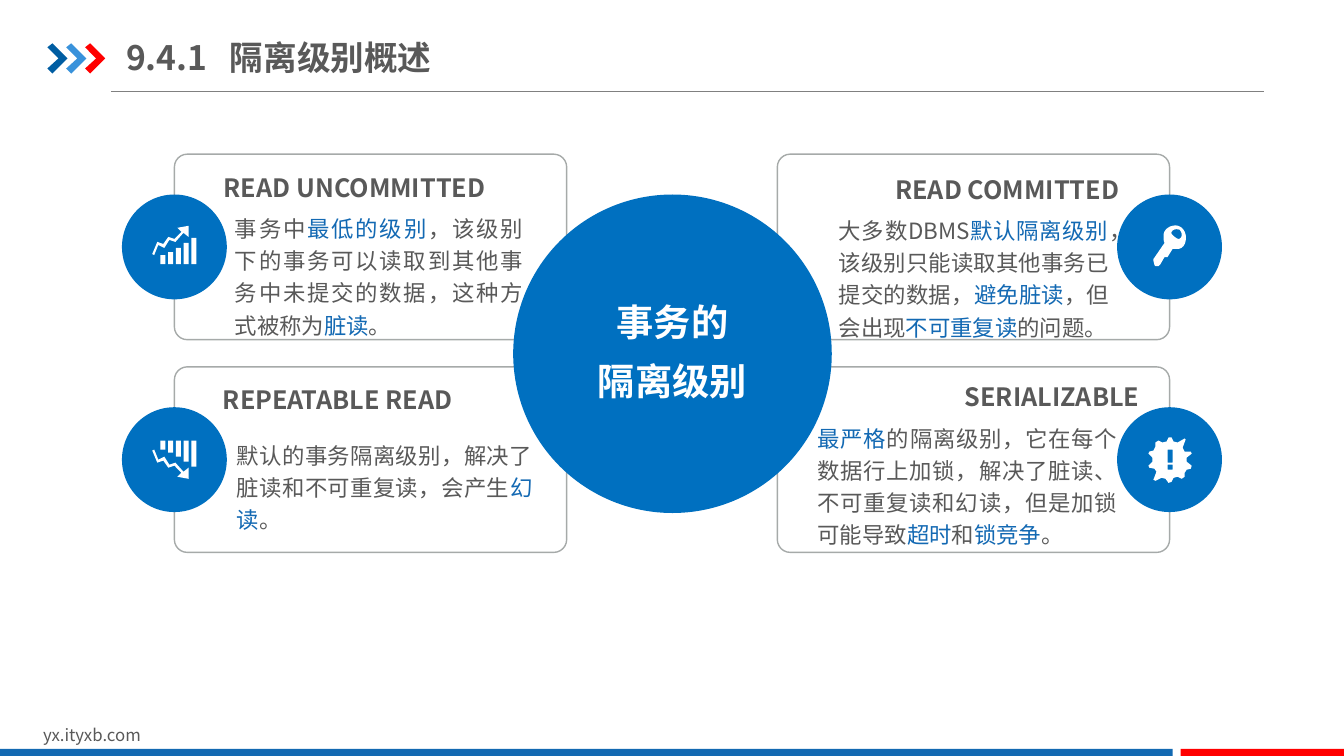
from lxml import etree
from pptx import Presentation
from pptx.dml.color import RGBColor
from pptx.enum.shapes import MSO_CONNECTOR, MSO_SHAPE
from pptx.enum.text import MSO_ANCHOR, PP_ALIGN
from pptx.oxml.ns import qn
from pptx.util import Inches, Pt

FONT = "Noto Sans CJK SC"
COLORS = {
    "text": "595959", "highlight": "1369B3", "circle": "0070C0", "card": "A6AAA9",
    "rule": "808080", "bar": "1369B2", "red": "FF0000", "navy": "005DA2",
    "sky": "3992DB", "white": "FFFFFF",
}
CARD_W, CARD_H, BADGE = 3.89, 1.84, 1.04
LEFT, RIGHT, TOP, BOTTOM = 1.73, 7.71, 1.53, 3.64

# Outlines are lists of contours; a six-number item is a cubic curve.
TREND = [(1.68, 2.38), (1.74, 2.4), (1.82, 2.31), (1.87, 2.35), (1.87, 2.24),
         (1.76, 2.26), (1.8, 2.3), (1.73, 2.37), (1.67, 2.35), (1.62, 2.42),
         (1.56, 2.4), (1.51, 2.52), (1.53, 2.53), (1.57, 2.43), (1.63, 2.46)]
BAR_TOPS = [2.53, 2.5, 2.46, 2.41, 2.36]
KEY = [
    [(11.71, 2.36), (11.69, 2.38, 11.68, 2.37, 11.65, 2.35),
     (11.63, 2.33, 11.61, 2.32, 11.62, 2.3), (11.64, 2.27, 11.67, 2.27, 11.7, 2.28),
     (11.72, 2.3, 11.73, 2.34, 11.71, 2.36)],
    [(11.76, 2.33), (11.75, 2.27, 11.69, 2.22, 11.63, 2.24),
     (11.58, 2.25, 11.53, 2.29, 11.54, 2.36), (11.54, 2.37, 11.54, 2.39, 11.55, 2.41),
     (11.44, 2.57), (11.44, 2.59), (11.45, 2.63), (11.46, 2.64), (11.49, 2.64),
     (11.51, 2.62), (11.55, 2.55), (11.58, 2.55), (11.63, 2.47),
     (11.65, 2.47, 11.67, 2.47, 11.69, 2.47), (11.75, 2.46, 11.77, 2.39, 11.76, 2.33)],
]
BURST = [
    (11.82, 4.62), (11.77, 4.58), (11.77, 4.54), (11.82, 4.5), (11.81, 4.48),
    (11.75, 4.48), (11.73, 4.44), (11.76, 4.36), (11.75, 4.35), (11.68, 4.39),
    (11.64, 4.38), (11.62, 4.34), (11.59, 4.34), (11.57, 4.38), (11.53, 4.39),
    (11.49, 4.37), (11.46, 4.39), (11.46, 4.43), (11.44, 4.47), (11.4, 4.48),
    (11.39, 4.5), (11.43, 4.54), (11.43, 4.58), (11.39, 4.62), (11.4, 4.64),
    (11.45, 4.65), (11.47, 4.68), (11.44, 4.76), (11.46, 4.77), (11.52, 4.74),
    (11.56, 4.75), (11.59, 4.79), (11.62, 4.78), (11.64, 4.74), (11.68, 4.73),
    (11.72, 4.75), (11.75, 4.73), (11.75, 4.69), (11.77, 4.66), (11.81, 4.65),
]

CARDS = [
    dict(heading="READ UNCOMMITTED", heading_box=(2.22, 1.61, 2.86, 0.44),
         heading_format=dict(spacing=1.2), body_box=(2.33, 2.08, 2.86, 0.98),
         body="事务中*最低的级别*，该级别下的事务可以读取到其他事务中未提交的数据，这种方式被称为*脏读*。"),
    dict(heading="REPEATABLE READ", heading_box=(2.21, 3.71, 2.71, 0.44),
         heading_format=dict(spacing=1.2), body_box=(2.35, 4.33, 2.93, 0.92),
         body="默认的事务隔离级别，解决了脏读和不可重复读，会产生*幻读*。"),
    dict(heading="READ COMMITTED", heading_box=(8.63, 1.66, 2.47, 0.44),
         heading_format=dict(align=PP_ALIGN.RIGHT), body_box=(8.32, 2.1, 2.68, 0.98),
         body="大多数DBMS*默认隔离级别*，该级别只能读取其他事务已提交的数据，*避免脏读*，但会出现*不可重复读*的问题。"),
    dict(heading="SERIALIZABLE", heading_box=(9.26, 3.71, 2.04, 0.44),
         heading_format=dict(align=PP_ALIGN.RIGHT), body_box=(8.11, 4.16, 2.97, 0.83),
         body="*最严格*的隔离级别，它在每个数据行上加锁，解决了脏读、不可重复读和幻读，但是加锁可能导致*超时*和*锁竞争*。"),
]


def rgb(name):
    return RGBColor.from_string(COLORS[name])


def write_text(tf, text, size=16, color="text", bold=False, align=PP_ALIGN.LEFT,
               anchor=MSO_ANCHOR.TOP, spacing=1.0, before=0, insets=(0, 0), tab=None):
    """Fill a text frame; text between asterisks is highlighted."""
    tf.word_wrap = True
    tf.vertical_anchor = anchor
    tf.margin_left = tf.margin_right = Inches(insets[0])
    tf.margin_top = tf.margin_bottom = Inches(insets[1])
    for i, line in enumerate(text.split("\n")):
        p = tf.add_paragraph() if i else tf.paragraphs[0]
        p.alignment, p.line_spacing = align, spacing
        p.space_before = Pt(before if i else 0)
        if tab:
            tabs = etree.SubElement(p._p.get_or_add_pPr(), qn("a:tabLst"))
            etree.SubElement(tabs, qn("a:tab"), pos=str(Inches(tab)), algn="l")
        for j, part in enumerate(line.split("*")):
            if not part:
                continue
            r = p.add_run()
            r.text = part
            r.font.size, r.font.bold, r.font.name = Pt(size), bold, FONT
            r.font.color.rgb = rgb("highlight" if j % 2 else color)
            etree.SubElement(r.font._element, qn("a:ea"), typeface=FONT)


def add_text(s, box, text, **fmt):
    write_text(s.shapes.add_textbox(*map(Inches, box)).text_frame, text, **fmt)


def paint(sp, fill=None, line=None):
    sp.shadow.inherit = False
    if fill:
        sp.fill.solid()
        sp.fill.fore_color.rgb = rgb(fill)
    else:
        sp.fill.background()
    if line:
        sp.line.color.rgb = rgb(line)
        sp.line.width = Pt(1)
    else:
        sp.line.fill.background()


def add_preset(s, kind, box, **colors):
    sp = s.shapes.add_shape(kind, *map(Inches, box))
    paint(sp, **colors)
    return sp


def flatten(contour, steps=6):
    """Turn the cubic curves of a contour into short straight pieces."""
    points = [contour[0]]
    for item in contour[1:]:
        if len(item) == 2:
            points.append(item)
            continue
        a, b, c, d = points[-1], item[:2], item[2:4], item[4:]
        for t in (n / steps for n in range(1, steps + 1)):
            u = 1 - t
            points.append(tuple(
                u**3 * a[k] + 3 * u * u * t * b[k] + 3 * u * t * t * c[k] + t**3 * d[k]
                for k in (0, 1)))
    return points


def add_outline(s, contours, fill):
    fb = None
    for contour in contours:
        start, *rest = [(Inches(x), Inches(y)) for x, y in flatten(contour)]
        if fb is None:
            fb = s.shapes.build_freeform(*start)
        else:
            fb.move_to(*start)
        fb.add_line_segments(rest, close=True)
    paint(fb.convert_to_shape(), fill)


def rect_points(x0, y0, x1, y1):
    return [(x0, y0), (x1, y0), (x1, y1), (x0, y1)]


def add_frame(s):
    """Header rule, chevrons, title and footer."""
    rule = s.shapes.add_connector(
        MSO_CONNECTOR.STRAIGHT, Inches(1.1), Inches(0.91), Inches(12.54), Inches(0.91))
    rule.line.color.rgb = rgb("rule")
    rule.line.width = Pt(0.75)
    etree.SubElement(rule._element.spPr, qn("a:effectLst"))
    chevron = [(0, 0.47), (0.05, 0.43), (0.2, 0.58), (0.05, 0.73), (0, 0.68), (0.11, 0.58)]
    for i, color in enumerate(("navy", "sky", "red")):
        add_outline(s, [[(0.47 + 0.187 * i + x, y) for x, y in chevron]], color)
    add_text(s, (0.33, 7.14, 3.18, 0.3), "yx.ityxb.com", size=12, insets=(0.1, 0.05))
    add_preset(s, MSO_SHAPE.RECTANGLE, (0, 7.43, 11.63, 0.09), fill="bar")
    add_preset(s, MSO_SHAPE.RECTANGLE, (11.71, 7.43, 1.63, 0.09), fill="red")
    title = s.shapes.title
    title.left, title.top, title.width, title.height = map(Inches, (1.25, 0.29, 5.73, 0.55))
    write_text(title.text_frame, "9.4.1\t隔离级别概述", size=24, bold=True,
               anchor=MSO_ANCHOR.MIDDLE, insets=(0, 0.07), tab=1.03)


def add_icons(s):
    bars = [rect_points(1.59 + 0.077 * i, top, 1.64 + 0.077 * i, 2.62)
            for i, top in enumerate(BAR_TOPS)]
    rising = [TREND, *bars]
    falling = [[(x, 6.99 - y) for x, y in contour] for contour in rising]
    mark = [rect_points(11.58, 4.46, 11.63, 4.59), rect_points(11.58, 4.61, 11.63, 4.66)]
    for contours in (rising, falling, KEY, [BURST, *mark]):
        add_outline(s, contours, "white")


def main():
    prs = Presentation()
    prs.slide_width, prs.slide_height = Inches(13.33), Inches(7.5)
    s = prs.slides.add_slide(prs.slide_layouts[5])
    add_frame(s)
    corners = [(x, y) for x in (LEFT, RIGHT) for y in (TOP, BOTTOM)]
    for x, y in corners:
        card = add_preset(s, MSO_SHAPE.ROUNDED_RECTANGLE, (x, y, CARD_W, CARD_H), line="card")
        card.adjustments[0] = 0.069
    add_preset(s, MSO_SHAPE.OVAL, (5.09, 1.93, 3.16, 3.16), fill="circle")
    add_text(s, (5.83, 3.14, 1.68, 0.69), "事务的\n隔离级别", size=26.6, color="white",
             bold=True, align=PP_ALIGN.CENTER, anchor=MSO_ANCHOR.MIDDLE, before=10)
    for card in CARDS:
        add_text(s, card["body_box"], card["body"], align=PP_ALIGN.JUSTIFY, spacing=1.2)
        add_text(s, card["heading_box"], card["heading"], size=18, bold=True,
                 anchor=MSO_ANCHOR.MIDDLE, **card["heading_format"])
    for x, y in corners:
        outer_edge = x if x == LEFT else x + CARD_W
        add_preset(s, MSO_SHAPE.OVAL, (outer_edge - BADGE / 2, y + 0.4, BADGE, BADGE),
                   fill="circle")
    add_icons(s)
    prs.save("out.pptx")


if __name__ == "__main__":
    main()
